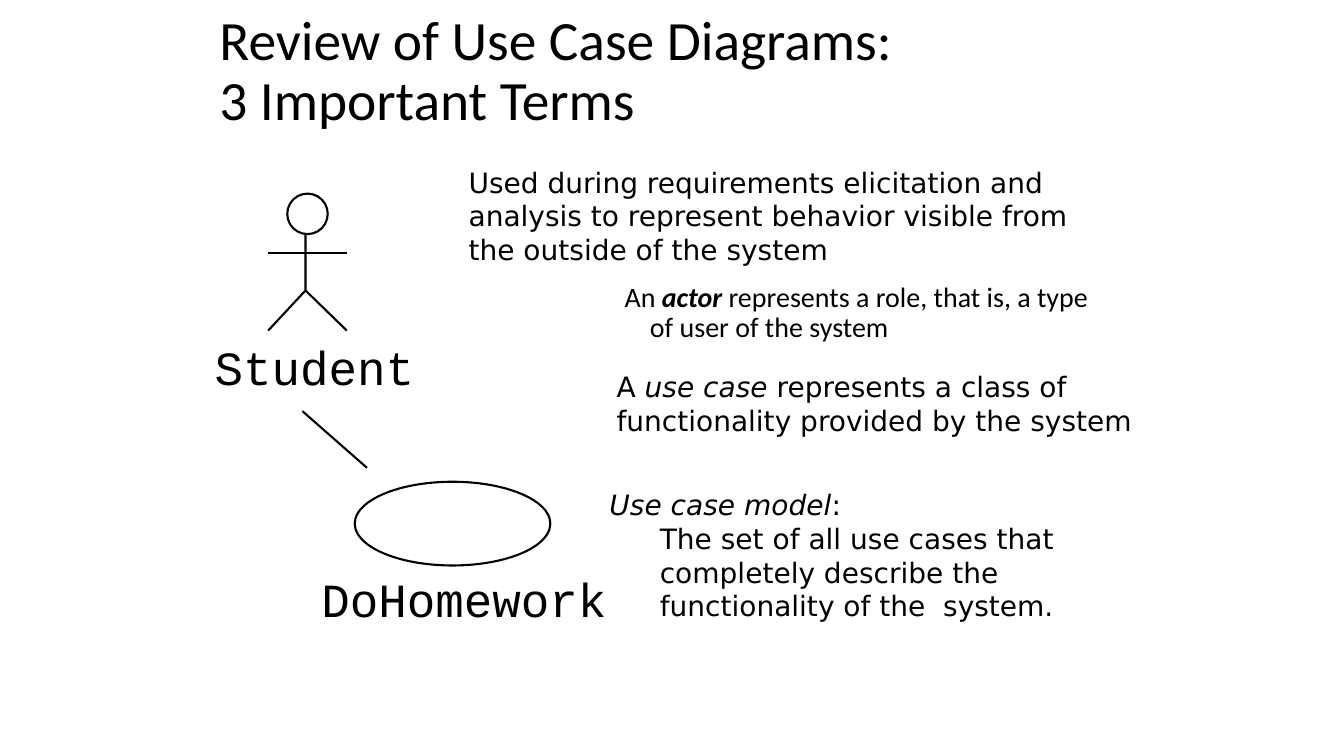
from dataclasses import dataclass

from lxml.etree import SubElement
from pptx import Presentation
from pptx.dml.color import RGBColor
from pptx.enum.shapes import MSO_CONNECTOR as Connector, MSO_SHAPE as Preset
from pptx.enum.text import MSO_ANCHOR as Anchor
from pptx.oxml.ns import qn
from pptx.util import Cm, Pt

COLORS = {"ink": "000000", "paper": "FFFFFF"}
LINE_WIDTH = Pt(1.5)
Point = tuple[float, float]
Box = tuple[float, float, float, float]


@dataclass(frozen=True)
class Piece:
    text: str
    italic: bool = False
    bold: bool = False


@dataclass(frozen=True)
class Line:
    pieces: tuple[Piece, ...]
    margin: float = 0
    indent: float = 0


@dataclass(frozen=True)
class TextBlock:
    box: Box
    lines: tuple[Line, ...]
    font: str = "DejaVu Sans"
    size: float = 20
    spacing: float = 1.0
    anchor: Anchor = Anchor.TOP
    label: bool = False  # no insets and no wrapping


def plain(text: str) -> tuple[Line, ...]:
    return (Line((Piece(text),)),)


TEXT_BLOCKS = (
    TextBlock((5.28, 0.64, 22.66, 2.39),
              plain("Review of Use Case Diagrams:\v3 Important Terms"),
              "Calibri", 39.6, 0.9, Anchor.MIDDLE),
    TextBlock((15.49, 7.01, 12.45, 2.24), (
        Line((Piece("An "), Piece("actor", italic=True, bold=True),
              Piece(" represents a role, that is, a type of user of the system")),
             margin=0.64, indent=-0.64),), "Calibri", spacing=0.9),
    TextBlock((5.41, 8.51, 5.08, 1.45), plain("Student"), "Courier New", 34, label=True),
    TextBlock((8.1, 14.35, 7.26, 1.45), plain("DoHomework"), "Courier New", 34, label=True),
    TextBlock((11.56, 4.04, 16.81, 2.72), plain(
        "Used during requirements elicitation and analysis to represent "
        "behavior visible from the outside of the system")),
    TextBlock((15.11, 12.17, 13.64, 5.18), (
        Line((Piece("Use case model", italic=True), Piece(":"))),
        Line((Piece("The set of all use cases that completely describe the "
                    "functionality of the  system."),), margin=1.27))),
    TextBlock((15.29, 9.19, 13.54, 2.54), (
        Line((Piece("A "), Piece("use case", italic=True),
              Piece(" represents a class of functionality provided by the system"))),)),
)

NECK, HIP = (7.7, 5.59), (7.7, 7.32)
LEFT_FOOT, RIGHT_FOOT = (6.76, 8.33), (8.74, 8.33)
LEFT_HAND, RIGHT_HAND = (6.76, 6.38), (8.74, 6.38)
HEAD = (7.24, 4.88, 1.02, 1.02)
USE_CASE = (8.94, 12.14, 4.93, 2.11)
ASSOCIATION = ((7.62, 10.36), (9.25, 11.79))


def color(name: str) -> RGBColor:
    return RGBColor.from_string(COLORS[name])


def style_outline(shape) -> None:
    shape.line.color.rgb = color("ink")
    shape.line.width = LINE_WIDTH


def add_text(slide, block: TextBlock) -> None:
    frame = slide.shapes.add_textbox(*map(Cm, block.box)).text_frame
    frame.word_wrap = not block.label
    frame.vertical_anchor = block.anchor
    if block.label:
        frame.margin_left = frame.margin_right = 0
        frame.margin_top = frame.margin_bottom = 0
    for index, line in enumerate(block.lines):
        paragraph = frame.add_paragraph() if index else frame.paragraphs[0]
        paragraph.line_spacing = block.spacing
        paragraph.font.name = block.font
        paragraph.font.size = Pt(block.size)
        paragraph.font.color.rgb = color("ink")
        properties = paragraph._p.get_or_add_pPr()
        properties.set("marL", str(Cm(line.margin)))
        properties.set("indent", str(Cm(line.indent)))
        for piece in line.pieces:
            for row, text in enumerate(piece.text.split("\v")):
                if row:
                    paragraph.add_line_break()
                run = paragraph.add_run()
                run.text = text
                if piece.italic:
                    run.font.italic = True
                if piece.bold:
                    run.font.bold = True


def add_line(slide, start: Point, end: Point) -> None:
    connector = slide.shapes.add_connector(
        Connector.STRAIGHT, *map(Cm, start + end))
    style_outline(connector)
    SubElement(connector._element.spPr, qn("a:effectLst"))


def add_ellipse(slide, box: Box, filled: bool) -> None:
    ellipse = slide.shapes.add_shape(Preset.OVAL, *map(Cm, box))
    ellipse.shadow.inherit = False
    style_outline(ellipse)
    if filled:
        ellipse.fill.solid()
        ellipse.fill.fore_color.rgb = color("paper")
    else:
        ellipse.fill.background()


def add_open_path(slide, points: tuple[Point, ...]) -> None:
    start, *others = [(Cm(x), Cm(y)) for x, y in points]
    builder = slide.shapes.build_freeform(*start)
    builder.add_line_segments(others, close=False)
    outline = builder.convert_to_shape()
    outline.shadow.inherit = False
    outline.fill.background()
    style_outline(outline)


def add_actor(slide) -> None:
    add_open_path(slide, (NECK, HIP, LEFT_FOOT))
    add_line(slide, HIP, RIGHT_FOOT)
    add_line(slide, LEFT_HAND, RIGHT_HAND)
    add_ellipse(slide, HEAD, filled=True)


def main() -> None:
    presentation = Presentation()
    presentation.slide_width, presentation.slide_height = Cm(33.87), Cm(19.05)
    slide = presentation.slides.add_slide(presentation.slide_layouts[6])
    add_actor(slide)
    add_ellipse(slide, USE_CASE, filled=False)
    add_line(slide, *ASSOCIATION)
    for block in TEXT_BLOCKS:
        add_text(slide, block)
    presentation.save("out.pptx")


if __name__ == "__main__":
    main()
